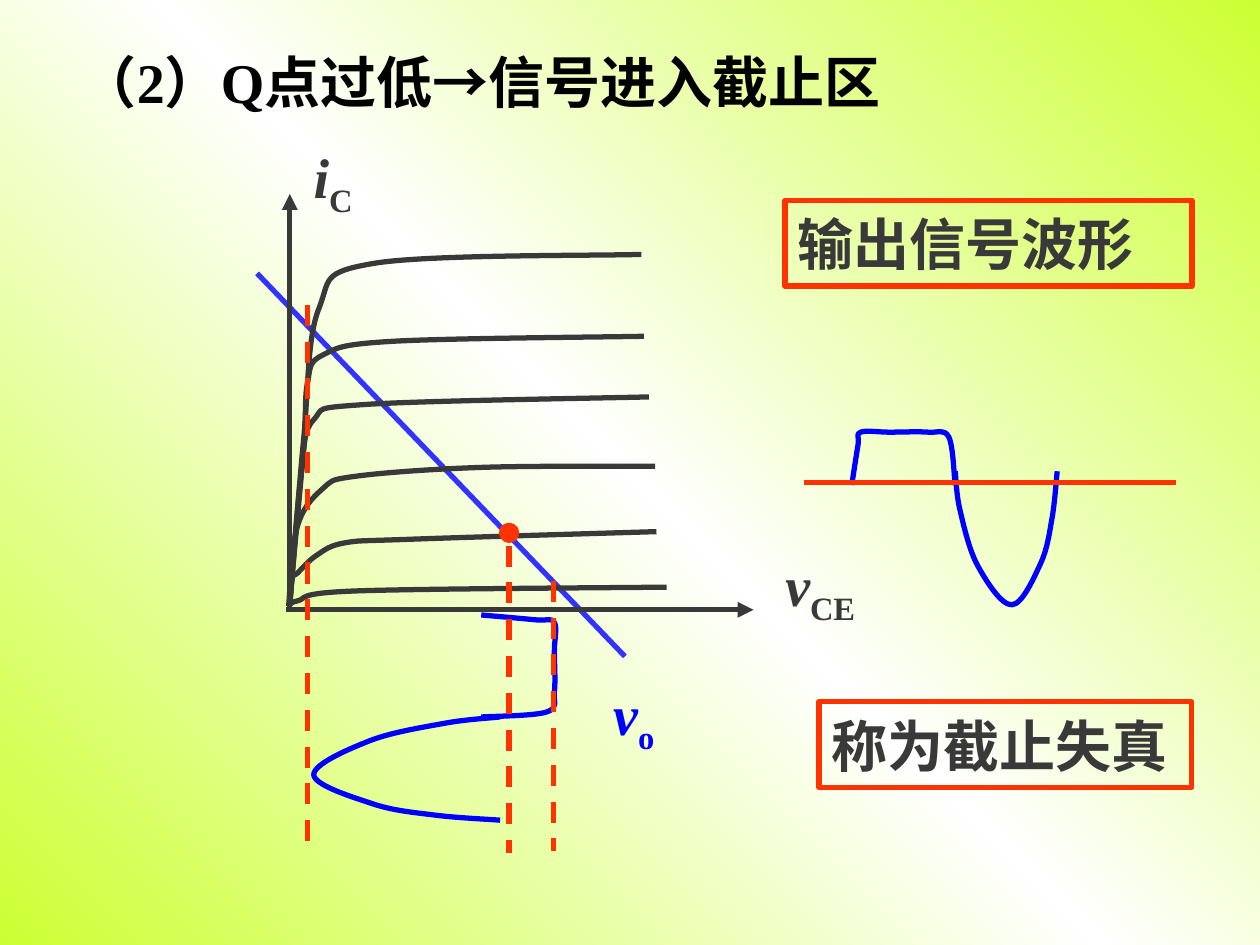
from copy import deepcopy

from lxml import etree
from pptx import Presentation
from pptx.dml.color import RGBColor
from pptx.enum.dml import MSO_LINE
from pptx.enum.shapes import MSO_CONNECTOR, MSO_SHAPE
from pptx.enum.text import MSO_ANCHOR, MSO_AUTO_SIZE, PP_ALIGN
from pptx.oxml.ns import qn
from pptx.util import Pt

STRAIGHT = MSO_CONNECTOR.STRAIGHT
DASH = MSO_LINE.DASH
OVAL, RECT = MSO_SHAPE.OVAL, MSO_SHAPE.RECTANGLE
MIDDLE = MSO_ANCHOR.MIDDLE
GROW = MSO_AUTO_SIZE.SHAPE_TO_FIT_TEXT
LEFT, CENTER = PP_ALIGN.LEFT, PP_ALIGN.CENTER

FONT = "Times New Roman"
GREY, RED, BLUE, LOAD_BLUE = "393939", "FF3300", "0000FF", "3333FF"
LIME, WHITE, BLACK = "CCFF33", "FFFFFF", "000000"

COLLECTOR_CURVES = [
    [(21.6, 274.3), (25.9, 271.4), (59, 265.7), (236.9, 263.5)],
    [(21.6, 274.3), (23, 258.5), (25.9, 255.6), (36.7, 245.5), (52.6, 238.3), (89.3, 236.2), (231.1, 231.8)],
    [(20.9, 274.3), (25.9, 229), (40.3, 207.4), (59, 200.2), (131, 195.1), (230.4, 194.4)],
    [(21.6, 271.4), (28.1, 199.4), (35.3, 167.8), (65.5, 159.1), (226.8, 154.8)],
    [(21.6, 271.4), (29.5, 184.3), (31.7, 146.9), (40.3, 131), (79.9, 123.1), (223.9, 120.2)],
    [(21.6, 274.3), (29.5, 179.3), (38.2, 104.4), (69.8, 78.5), (222.5, 73.4)],
]
VO_CURVES = [
    [(131, 279.4), (162, 282.2), (172.8, 283.7), (172.8, 300.2), (172.8, 323.3), (168.5, 334.8), (131, 337.7)],
    [(141.8, 337.7), (110.2, 341.3), (67, 351.4), (35.3, 370.8), (69.1, 387.4), (104.4, 393.8), (141.8, 396.7)],
]
OUTPUT_CURVES = [
    [(27.7, 32.2), (31.3, 9.2), (32.8, 2), (49.3, 2), (71.6, 2), (83.2, 4.8), (86.8, 32.2)],
    [(86.8, 24.3), (89.6, 46.6), (99.7, 78.3), (119.2, 100.6), (135.7, 76.8), (142.2, 50.9), (145.1, 24.3)],
]
PROJECTIONS = [(172.1, 259.9, 414), (146.9, 239.8, 415.4), (31.7, 102.2, 417.6)]


def rgb(value):
    """Return the colour for a hex string."""
    return RGBColor.from_string(value)


def set_line(shape, color):
    """Give a shape or connector a 3 pt line."""
    shape.line.color.rgb = rgb(color)
    shape.line.width = Pt(3)


def add_line(shapes, x1, y1, x2, y2, color, dash=None, arrow=False):
    """Add a straight line, dashed or with an arrowhead if asked."""
    c = shapes.add_connector(STRAIGHT, Pt(x1), Pt(y1), Pt(x2), Pt(y2))
    set_line(c, color)
    if dash:
        c.line.dash_style = dash
    if arrow:
        etree.SubElement(c.line._get_or_add_ln(), qn("a:tailEnd"), type="triangle")
    etree.SubElement(c._element.spPr, qn("a:effectLst"))


def bezier_points(points):
    """Return two controls and an end for each step of a smooth curve."""
    padded = [points[0], *points, points[-1]]
    result = []
    for p0, p1, p2, p3 in zip(padded, padded[1:], padded[2:], padded[3:]):
        result.append(tuple(b + (c - a) / 6 for a, b, c in zip(p0, p1, p2)))
        result.append(tuple(c - (d - b) / 6 for b, c, d in zip(p1, p2, p3)))
        result.append(p2)
    return result


def add_curve(shapes, x, y, points, color):
    """Add an open smooth curve through points relative to x, y."""
    emu = [(Pt(x + px), Pt(y + py)) for px, py in [points[0], *bezier_points(points)]]
    builder = shapes.build_freeform(*emu[0])
    builder.add_line_segments(emu[1:], close=False)
    sp = builder.convert_to_shape()
    steps = list(sp._element.iter(qn("a:lnTo")))
    for i in range(0, len(steps), 3):
        steps[i].tag = qn("a:cubicBezTo")
        for extra in steps[i + 1:i + 3]:
            steps[i].append(extra[0])
            extra.getparent().remove(extra)
    sp.fill.background()
    set_line(sp, color)
    sp.shadow.inherit = False


def format_frame(tf, color, align=LEFT, wrap=True):
    """Set the frame and paragraph format shared by all texts."""
    tf.word_wrap = wrap
    tf.auto_size = GROW
    tf.vertical_anchor = MIDDLE
    p = tf.paragraphs[0]
    p.alignment = align
    p.space_before = Pt(0)
    p.font.name = FONT
    p.font.size = Pt(32)
    p.font.bold = True
    p.font.color.rgb = rgb(color)


def add_symbol(shapes, x, y, w, symbol, subscript, color, align=LEFT, wrap=True):
    """Add an italic symbol with an upright subscript."""
    tf = shapes.add_textbox(Pt(x), Pt(y), Pt(w), Pt(45.4)).text_frame
    p = tf.paragraphs[0]
    for text, italic in ((symbol, True), (subscript, False)):
        r = p.add_run()
        r.text = text
        r.font.italic = italic
    r.font._element.set("baseline", "-25000")
    format_frame(tf, color, align, wrap)


def set_background(s):
    """Fill the slide with a diagonal lime and white gradient."""
    fill = s.background.fill
    fill.gradient()
    fill.gradient_angle = 45
    first = fill.gradient_stops[0]._gs
    first.addnext(deepcopy(first))
    for stop, color, position in zip(fill.gradient_stops, (LIME, WHITE, LIME), (0, 0.5, 1)):
        stop.color.rgb = rgb(color)
        stop.position = position


def add_title(s, x, y, w, h):
    """Place the slide title."""
    sp = s.shapes.title
    sp.left, sp.top, sp.width, sp.height = Pt(x), Pt(y), Pt(w), Pt(h)
    sp.text_frame.text = "（2）Q点过低→信号进入截止区"
    format_frame(sp.text_frame, BLACK)


def add_load_line_plot(s, x, y):
    """Draw the collector curves, load line, Q point and vo wave."""
    shapes = s.shapes.add_group_shape().shapes
    add_line(shapes, x + 2.9, y + 84.2, x + 213.1, y + 303.1, LOAD_BLUE)
    add_symbol(shapes, x + 28.1, y + 8.6, 194.4, "i", "C", GREY)
    add_symbol(shapes, x + 295.9, y + 241.9, 57.6, "v", "CE", GREY, CENTER, False)
    add_line(shapes, x + 19.4, y + 276.5, x + 286.6, y + 276.5, GREY, arrow=True)
    add_line(shapes, x + 21.6, y + 276.5, x + 21.6, y + 38.9, GREY, arrow=True)
    for points in COLLECTOR_CURVES:
        add_curve(shapes, x, y, points, GREY)
    q = shapes.add_shape(OVAL, Pt(x + 142.6), Pt(y + 228.2), Pt(8.6), Pt(8.6))
    q.fill.solid()
    q.fill.fore_color.rgb = rgb(RED)
    set_line(q, RED)
    q.shadow.inherit = False
    for points in VO_CURVES:
        add_curve(shapes, x, y, points, BLUE)
    add_symbol(shapes, x + 184.3, y + 315.4, 67.7, "v", "o", BLUE, CENTER)
    for px, top, bottom in PROJECTIONS:
        add_line(shapes, x + px, y + top, x + px, y + bottom, RED, DASH)


def add_output_wave(s, x, y):
    """Draw the clipped output wave and its baseline."""
    shapes = s.shapes.add_group_shape().shapes
    for points in OUTPUT_CURVES:
        add_curve(shapes, x, y, points, BLUE)
    add_line(shapes, x + 0.4, y + 30.8, x + 212.8, y + 30.8, RED)


def add_caption(s, x, y, w, h, text):
    """Add a caption in a red frame."""
    sp = s.shapes.add_shape(RECT, Pt(x), Pt(y), Pt(w), Pt(h))
    sp.fill.background()
    set_line(sp, RED)
    sp.shadow.inherit = False
    sp.text_frame.text = text
    format_frame(sp.text_frame, GREY)


def main():
    """Build and save the slide."""
    prs = Presentation()
    prs.slide_width, prs.slide_height = Pt(720), Pt(540)
    s = prs.slides.add_slide(prs.slide_layouts[5])
    set_background(s)
    add_title(s, 39, 23.8, 501, 45.4)
    add_load_line_plot(s, 144, 72)
    add_output_wave(s, 459, 245)
    add_caption(s, 468, 401, 213, 49, "称为截止失真")
    add_caption(s, 448.6, 114.5, 232.6, 49, "输出信号波形")
    prs.save("out.pptx")


if __name__ == "__main__":
    main()
